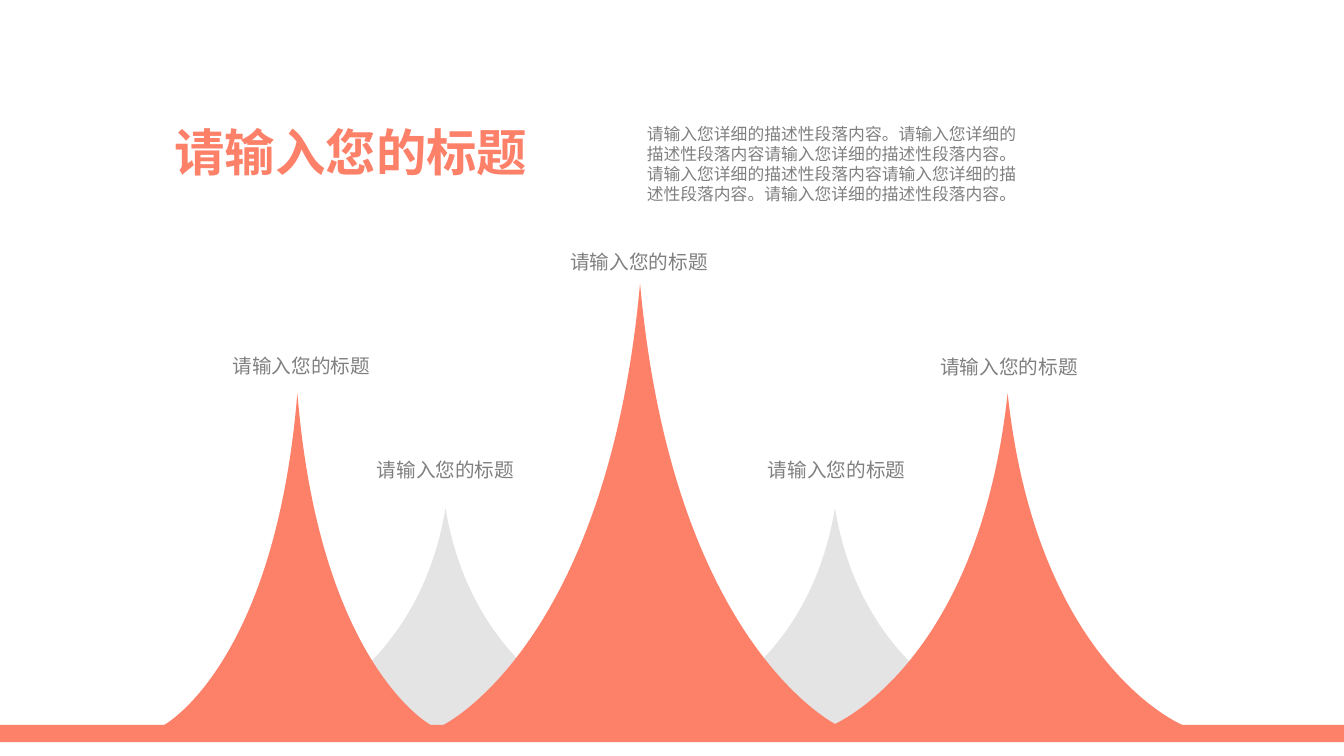
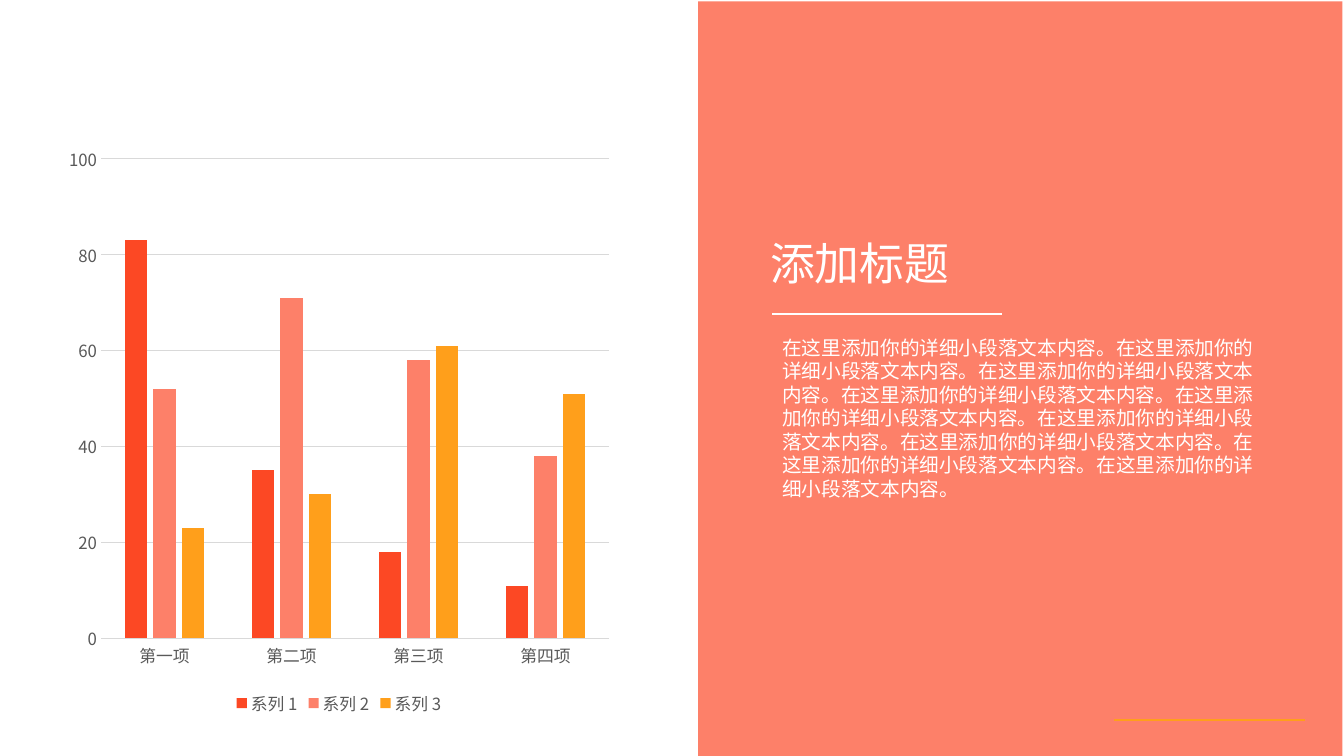
from dataclasses import dataclass

from lxml import etree
from pptx import Presentation
from pptx.chart.data import CategoryChartData
from pptx.dml.color import RGBColor
from pptx.enum.chart import XL_CHART_TYPE, XL_LEGEND_POSITION, XL_TICK_MARK
from pptx.enum.dml import MSO_LINE
from pptx.enum.shapes import MSO_CONNECTOR, MSO_SHAPE
from pptx.enum.text import MSO_ANCHOR, MSO_AUTO_SIZE, PP_ALIGN
from pptx.oxml.ns import qn
from pptx.util import Inches, Pt

RECTANGLE = MSO_SHAPE.RECTANGLE
STRAIGHT = MSO_CONNECTOR.STRAIGHT
DOTTED = MSO_LINE.ROUND_DOT
TOP, MIDDLE = MSO_ANCHOR.TOP, MSO_ANCHOR.MIDDLE
LEFT = PP_ALIGN.LEFT
NO_FIT = MSO_AUTO_SIZE.NONE
NO_TICK = XL_TICK_MARK.NONE
CLUSTERED = XL_CHART_TYPE.COLUMN_CLUSTERED
LEGEND_BOTTOM = XL_LEGEND_POSITION.BOTTOM

WIDTH, HEIGHT = Inches(13.33), Inches(7.5)
COLUMNS, ROWS = 40, 30
FONT, BODY_FONT = "Noto Sans CJK SC", "Arial"
COLOURS = {
    "coral": "FD8069",
    "red": "FC4824",
    "amber": "FF9F1B",
    "white": "FFFFFF",
    "text": "808080",
    "axis": "595959",
    "grid": "D9D9D9",
    "dots": "BFBFBF",
}
GROUND = 28.77
SHOULDER_WIDTH, SHOULDER_HEIGHT = 1 / 6, 0.18


@dataclass(frozen=True)
class Area:
    left: float
    top: float
    width: float
    height: float

    def emu(self):
        return col(self.left), row(self.top), col(self.width), row(self.height)


@dataclass(frozen=True)
class TextStyle:
    size: float
    colour: str
    font: str = FONT
    bold: bool = False


@dataclass(frozen=True)
class Peak:
    centre: float
    width: float
    top: float
    label_centre: float
    label_top: float
    colour: str = "coral"
    opacity: int = 100


@dataclass(frozen=True)
class Series:
    name: str
    values: tuple
    colour: str


PEAKS = (
    Peak(13.26, 10.41, 20.16, 13.29, 17.97, "grid", 70),
    Peak(24.85, 10.41, 20.16, 24.93, 17.97, "grid", 70),
    Peak(8.85, 7.94, 15.6, 9, 13.84),
    Peak(19.05, 11.72, 11.25, 19.05, 9.72),
    Peak(29.99, 10.41, 15.6, 30.06, 13.88),
)
CATEGORIES = ("第一项", "第二项", "第三项", "第四项")
SERIES = (
    Series("系列 1", (83, 35, 18, 11), "red"),
    Series("系列 2", (52, 71, 58, 38), "coral"),
    Series("系列 3", (23, 30, 61, 51), "amber"),
)


def col(count: float) -> int:
    return round(WIDTH * count / COLUMNS)


def row(count: float) -> int:
    return round(HEIGHT * count / ROWS)


def rgb(name: str) -> RGBColor:
    return RGBColor.from_string(COLOURS[name])


def style_font(font, style: TextStyle) -> None:
    font.size = Pt(style.size)
    font.name = style.font
    font.bold = style.bold
    font.color.rgb = rgb(style.colour)


def set_east_asian_font(root) -> None:
    for latin in list(root.iter(qn("a:latin"))):
        east_asian = etree.Element(qn("a:ea"), typeface=FONT)
        latin.addnext(east_asian)


def write_text(box, text: str, style: TextStyle, anchor=MIDDLE, wrap=True):
    frame = box.text_frame
    frame.text = text
    frame.word_wrap = wrap
    frame.auto_size = NO_FIT
    frame.vertical_anchor = anchor
    para = frame.paragraphs[0]
    para.alignment = LEFT
    for span in para.runs:
        style_font(span.font, style)
    return para


def place(box, area: Area) -> None:
    box.left, box.top, box.width, box.height = area.emu()


def add_title(page, text: str, area: Area, style: TextStyle) -> None:
    title = page.shapes.title
    place(title, area)
    write_text(title, text, style)


def add_body(page, text: str, area: Area, style: TextStyle) -> None:
    body = page.placeholders[1]
    place(body, area)
    para = write_text(body, text, style, TOP)
    properties = para._p.get_or_add_pPr()
    properties.set("marL", "0")
    properties.set("indent", "0")
    etree.SubElement(properties, qn("a:buNone"))
    para.space_before = Pt(0)
    para.line_spacing = Pt(style.size * 1.2)


def fill_shape(shape, colour: str, opacity: int = 100) -> None:
    shape.shadow.inherit = False
    shape.fill.solid()
    shape.fill.fore_color.rgb = rgb(colour)
    shape.line.fill.background()
    if opacity < 100:
        tint = shape.element.spPr.find(qn("a:solidFill"))[0]
        etree.SubElement(tint, qn("a:alpha"), val=str(opacity * 1000))


def add_band(page, area: Area):
    band = page.shapes.add_shape(RECTANGLE, *area.emu())
    fill_shape(band, "coral")
    return band


def add_rule(page, left: float, right: float, level: float, colour: str, weight: float):
    rule = page.shapes.add_connector(STRAIGHT, col(left), row(level), col(right), row(level))
    rule.line.color.rgb = rgb(colour)
    rule.line.width = Pt(weight)
    etree.SubElement(rule.element.spPr, qn("a:effectLst"))
    return rule


def bend_slopes(shape) -> None:
    half, height = shape.width / 2, shape.height
    shoulder = height * (1 - SHOULDER_HEIGHT)
    right_foot, apex, left_foot = (2 * half, height), (half, 0), (0, height)
    right_shoulder = (half * (1 + SHOULDER_WIDTH), shoulder)
    left_shoulder = (half * (1 - SHOULDER_WIDTH), shoulder)
    curves = ((right_foot, right_shoulder, apex), (left_shoulder, left_foot, left_foot))
    segments = list(shape.element.iter(qn("a:lnTo")))
    for segment, curve in zip(segments, curves):
        bend = etree.Element(qn("a:cubicBezTo"))
        for x, y in curve:
            etree.SubElement(bend, qn("a:pt"), x=str(round(x)), y=str(round(y)))
        segment.getparent().replace(segment, bend)


def add_peak(page, peak: Peak) -> None:
    left, right = peak.centre - peak.width / 2, peak.centre + peak.width / 2
    builder = page.shapes.build_freeform(col(right), row(GROUND))
    corners = ((col(peak.centre), row(peak.top)), (col(left), row(GROUND)))
    builder.add_line_segments(corners, close=True)
    shape = builder.convert_to_shape()
    bend_slopes(shape)
    fill_shape(shape, peak.colour, peak.opacity)


def add_peak_label(page, peak: Peak) -> None:
    width = 4.74
    area = Area(peak.label_centre - width / 2, peak.label_top, width, 1.36)
    box = page.shapes.add_textbox(*area.emu())
    write_text(box, "请输入您的标题", TextStyle(14, "text"), wrap=False)


def add_column_chart(page, area: Area) -> None:
    data = CategoryChartData()
    data.categories = CATEGORIES
    for entry in SERIES:
        data.add_series(entry.name, entry.values)
    chart = page.shapes.add_chart(CLUSTERED, *area.emu(), data).chart
    label_style = TextStyle(12, "axis")
    style_font(chart.font, label_style)
    chart.has_title = False
    chart.has_legend = True
    chart.legend.position = LEGEND_BOTTOM
    chart.legend.include_in_layout = False
    style_font(chart.legend.font, label_style)

    plot = chart.plots[0]
    plot.gap_width, plot.overlap = 219, -27
    plot.vary_by_categories = False
    for series, entry in zip(plot.series, SERIES):
        series.format.fill.solid()
        series.format.fill.fore_color.rgb = rgb(entry.colour)
        series.invert_if_negative = False

    values, categories = chart.value_axis, chart.category_axis
    for axis in (values, categories):
        axis.major_tick_mark = axis.minor_tick_mark = NO_TICK
        style_font(axis.tick_labels.font, label_style)
    values.minimum_scale, values.maximum_scale, values.major_unit = 0, 100, 20
    values.has_major_gridlines = True
    values.format.line.fill.background()
    for line in (values.major_gridlines.format.line, categories.format.line):
        line.color.rgb = rgb("grid")
        line.width = Pt(0.75)
    set_east_asian_font(chart.element)


def build_peaks_page(page) -> None:
    add_title(page, "请输入您的标题", Area(4.89, 4.6, 17.22, 2.84), TextStyle(36, "coral", bold=True))
    add_body(
        page,
        "请输入您详细的描述性段落内容。请输入您详细的描述性段落内容"
        "请输入您详细的描述性段落内容。请输入您详细的描述性段落内容"
        "请输入您详细的描述性段落内容。请输入您详细的描述性段落内容。",
        Area(18.95, 4.69, 11.76, 4.44),
        TextStyle(12, "text", BODY_FONT),
    )
    add_rule(page, 4.8, 34.38, GROUND + 0.02, "dots", 0.5).line.dash_style = DOTTED
    for peak in PEAKS:
        add_peak(page, peak)
    add_band(page, Area(0, GROUND, COLUMNS, 0.68))
    for peak in PEAKS:
        add_peak_label(page, peak)


def build_chart_page(page) -> None:
    panel = add_band(page, Area(20.78, 0.06, 19.17, ROWS - 0.06))
    panel.element.getparent().insert(2, panel.element)
    add_title(page, "添加标题", Area(22.62, 9.15, 7.23, 2.56), TextStyle(32, "white"))
    add_body(
        page,
        "在这里添加你的详细小段落文本内容。" * 9,
        Area(22.98, 13.12, 14.75, 7.96),
        TextStyle(14, "white"),
    )
    add_rule(page, 22.98, 29.81, 12.46, "white", 1.25)
    add_rule(page, 33.15, 38.85, 28.56, "amber", 1.25)
    add_column_chart(page, Area(1.72, 5.34, 16.74, 23.22))


def main() -> None:
    deck = Presentation()
    deck.slide_width, deck.slide_height = WIDTH, HEIGHT
    for build in (build_peaks_page, build_chart_page):
        page = deck.slides.add_slide(deck.slide_layouts[1])
        build(page)
        set_east_asian_font(page.element)
    deck.save("out.pptx")


if __name__ == "__main__":
    main()
